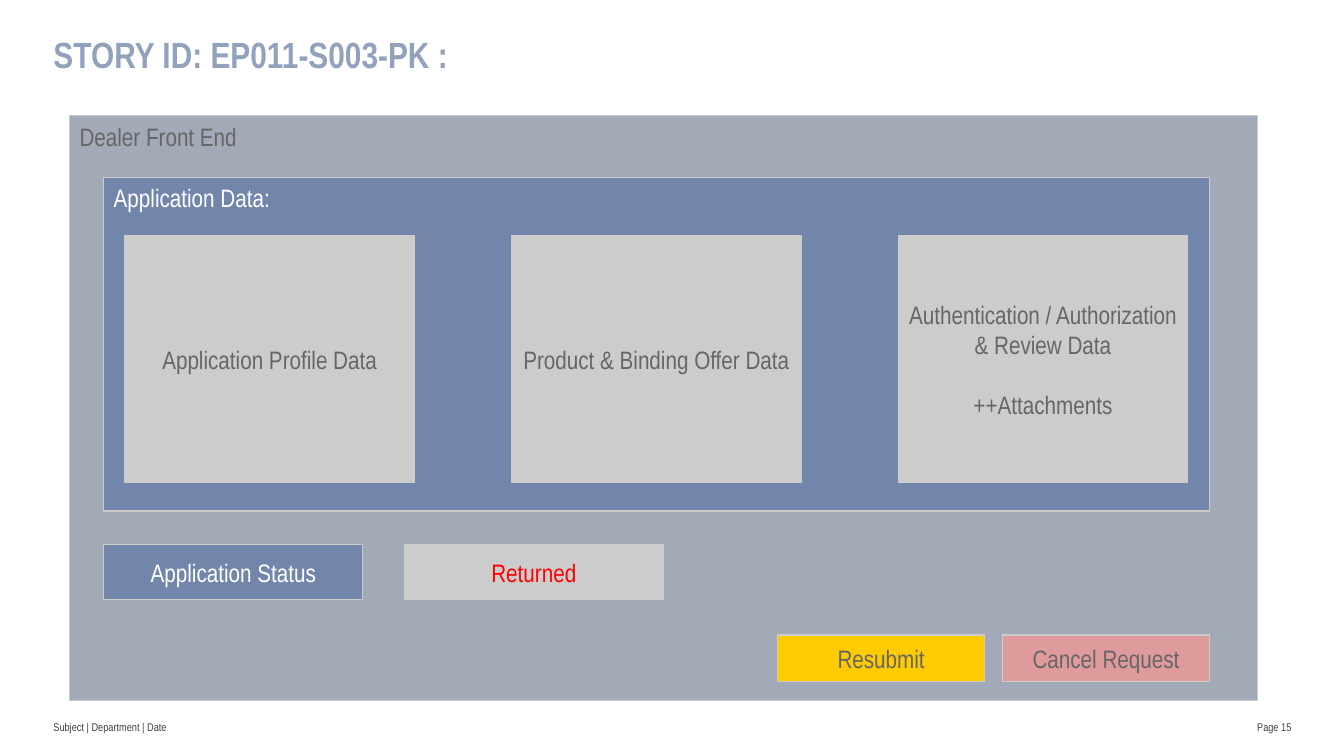
from dataclasses import dataclass

from pptx import Presentation
from pptx.dml.color import RGBColor
from pptx.enum.shapes import MSO_SHAPE
from pptx.enum.text import MSO_ANCHOR, MSO_AUTO_SIZE, PP_ALIGN
from pptx.util import Inches, Pt

FONT = "Arial Narrow"
COLORS = {
    "title": "92A2BD", "footer": "404040", "text": "666666", "white": "FFFFFF",
    "alert": "FF0000", "frame": "A2A9B7", "panel": "7286AB", "grey": "CCCCCC",
    "resubmit": "FECB00", "cancel": "DF9A9C",
}
NO_MARGINS = {f"margin_{side}": 0 for side in ("left", "top", "right", "bottom")}
TITLE_FRAME = {**NO_MARGINS, "word_wrap": True, "auto_size": MSO_AUTO_SIZE.NONE,
               "vertical_anchor": MSO_ANCHOR.TOP}
FOOTER_FRAME = {**NO_MARGINS, "word_wrap": True,
                "vertical_anchor": MSO_ANCHOR.MIDDLE}


@dataclass
class Box:
    left: float
    top: float
    width: float
    height: float
    fill: str
    lines: tuple[str, ...]
    color: str = "text"
    heading: bool = False


def rgb(name: str) -> RGBColor:
    return RGBColor.from_string(COLORS[name])


def apply(target, values: dict) -> None:
    for name, value in values.items():
        setattr(target, name, value)


def write(tf, lines: tuple[str, ...], size: int, color: str,
          align=PP_ALIGN.LEFT, bold: bool = False, gap: float = 0) -> None:
    """Fill a text frame with one paragraph per line, gap points apart."""
    for i, line in enumerate(lines):
        p = tf.add_paragraph() if i else tf.paragraphs[0]
        p.alignment = align
        if i:
            p.space_before = Pt(gap)
        r = p.add_run()
        r.text = line
        apply(r.font, {"name": FONT, "size": Pt(size), "bold": bold})
        r.font.color.rgb = rgb(color)


def add_box(s, box: Box) -> None:
    sp = s.shapes.add_shape(
        MSO_SHAPE.RECTANGLE,
        *map(Inches, (box.left, box.top, box.width, box.height)))
    sp.shadow.inherit = False
    sp.fill.solid()
    sp.fill.fore_color.rgb = rgb(box.fill)
    sp.line.color.rgb = rgb("grey")
    sp.line.width = Pt(0.75)
    tf = sp.text_frame
    anchor = MSO_ANCHOR.TOP if box.heading else MSO_ANCHOR.MIDDLE
    apply(tf, {"word_wrap": True, "vertical_anchor": anchor})
    align = PP_ALIGN.LEFT if box.heading else PP_ALIGN.CENTER
    write(tf, box.lines, 18, box.color, align, gap=21.5)


def add_title(s, text: str) -> None:
    sp = s.shapes.title
    apply(sp, {"left": Inches(0.53), "top": Inches(0.38),
               "width": Inches(12.28), "height": Inches(0.77)})
    tf = sp.text_frame
    apply(tf, TITLE_FRAME)
    write(tf, (text,), 26, "title", bold=True)
    tf.paragraphs[0].line_spacing = Pt(27)


def add_footer(s, left: float, width: float, text: str, align) -> None:
    sp = s.shapes.add_textbox(*map(Inches, (left, 7.03, width, 0.36)))
    apply(sp.text_frame, FOOTER_FRAME)
    write(sp.text_frame, (text,), 8, "footer", align)


def boxes() -> list[Box]:
    """List the boxes of the dealer screen from back to front."""
    data = (
        ("Application Profile Data",),
        ("Product & Binding Offer Data",),
        ("Authentication / Authorization & Review Data", "++Attachments"),
    )
    status = (("panel", "Application Status", "white"),
              ("grey", "Returned", "alert"))
    buttons = (("resubmit", "Resubmit"), ("cancel", "Cancel Request"))
    return [
        Box(0.69, 1.15, 11.78, 5.8, "frame", ("Dealer Front End",), heading=True),
        Box(1.03, 1.76, 10.97, 3.31, "panel", ("Application Data:",), "white", True),
        *(Box(1.24 + 3.835 * i, 2.34, 2.87, 2.45, "grey", lines)
          for i, lines in enumerate(data)),
        *(Box(1.03 + 2.98 * i, 5.4, 2.57, 0.55, fill, (text,), color)
          for i, (fill, text, color) in enumerate(status)),
        *(Box(7.71 + 2.23 * i, 6.3, 2.06, 0.46, fill, (text,))
          for i, (fill, text) in enumerate(buttons)),
    ]


def main() -> None:
    prs = Presentation()
    prs.slide_width, prs.slide_height = Inches(13.33), Inches(7.5)
    s = prs.slides.add_slide(prs.slide_layouts.get_by_name("Title Only"))
    add_title(s, "STORY ID: EP011-S003-PK :")
    add_footer(s, 0.53, 10.77, "Subject | Department | Date", PP_ALIGN.LEFT)
    add_footer(s, 11.58, 1.23, "Page 15", PP_ALIGN.RIGHT)
    for box in boxes():
        add_box(s, box)
    prs.save("out.pptx")


if __name__ == "__main__":
    main()
